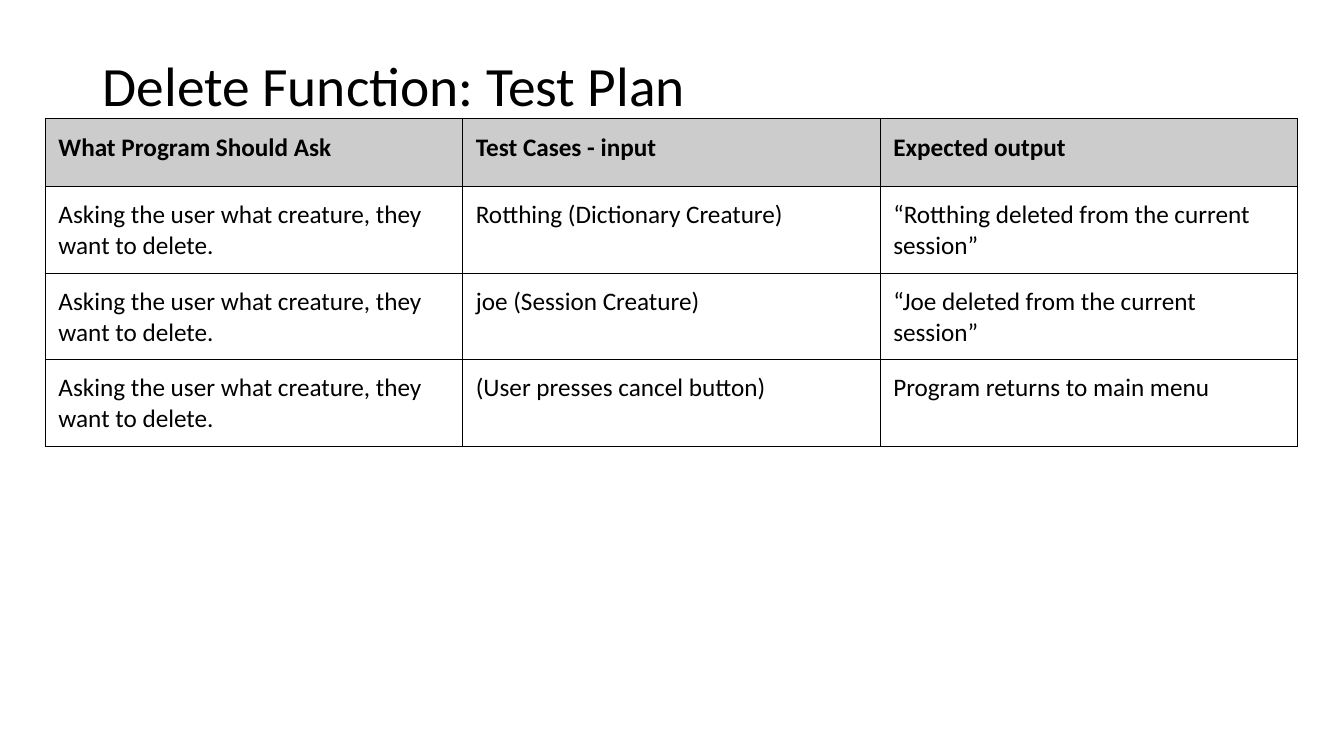
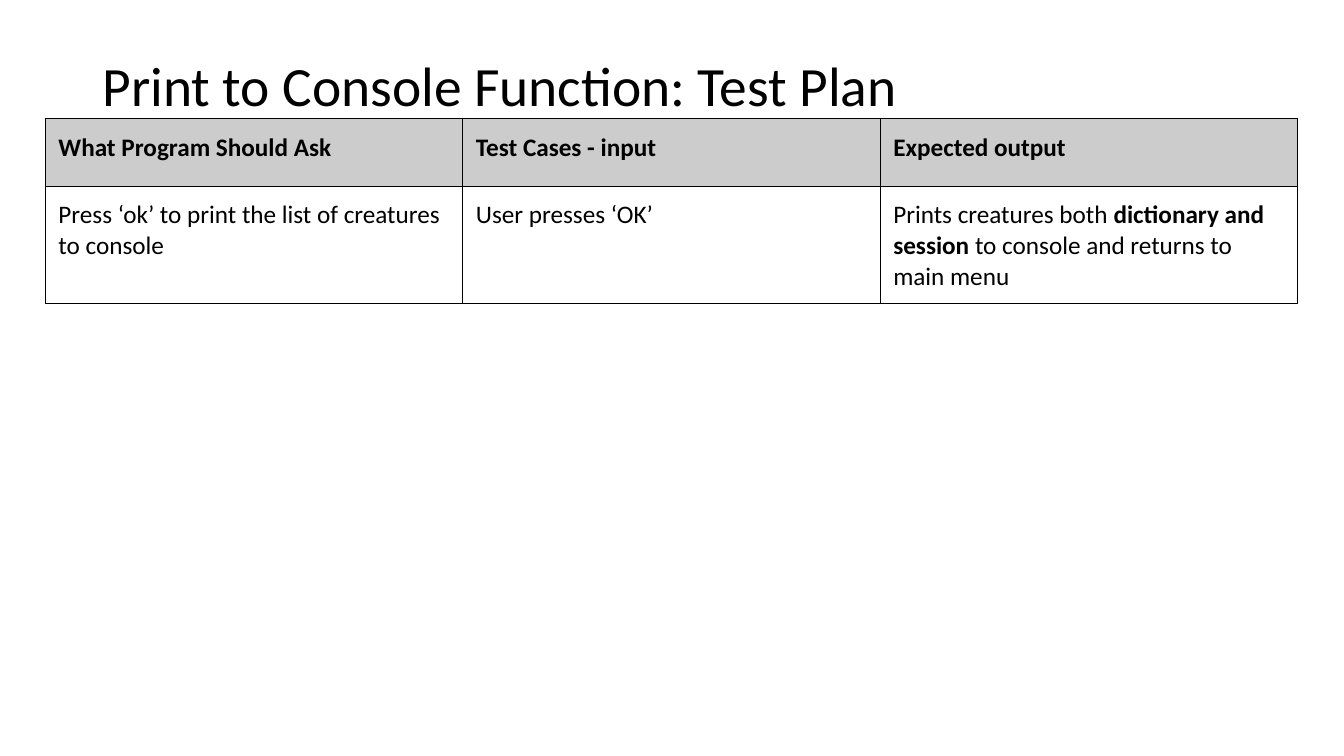
"""Build the test plan slides for the Delete and Print to Console functions."""
from lxml.etree import SubElement
from pptx import Presentation
from pptx.dml.color import RGBColor
from pptx.enum.text import MSO_ANCHOR
from pptx.oxml.ns import qn
from pptx.util import Inches, Pt

BLACK = RGBColor(0x00, 0x00, 0x00)
HEADER_GREY = RGBColor(0xCC, 0xCC, 0xCC)
FONT = "Calibri"
HEADINGS = ["What Program Should Ask", "Test Cases - input", "Expected output"]
DELETE_PROMPT = "Asking the user what creature, they want to delete."


class TestPlanDeck:
    """Hold the deck style and the current slide."""

    def __init__(self):
        self.deck = Presentation()
        self.deck.slide_width = Inches(13.33)
        self.deck.slide_height = Inches(7.5)
        self.slide = None

    def new_slide(self):
        """Start a blank slide."""
        self.slide = self.deck.slides.add_slide(self.deck.slide_layouts[6])

    def style(self, paragraph, size, bold=None):
        """Apply the deck font to a paragraph."""
        font = paragraph.font
        font.name, font.size, font.bold = FONT, Pt(size), bold
        font.color.rgb = BLACK

    def title(self, text):
        """Add the slide title."""
        heading = self.slide.shapes.add_textbox(
            Inches(0.92), Inches(0.57), Inches(11.5), Inches(0.62)
        )
        frame = heading.text_frame
        frame.word_wrap = True
        frame.vertical_anchor = MSO_ANCHOR.MIDDLE
        paragraph = frame.paragraphs[0]
        paragraph.text = text
        paragraph.line_spacing = 0.9
        self.style(paragraph, 39.6)

    def borders(self, cell):
        """Draw a thin black line on each side of a cell."""
        properties = cell._tc.get_or_add_tcPr()
        for position, side in enumerate(("lnL", "lnR", "lnT", "lnB")):
            line = SubElement(properties, qn(f"a:{side}"), w=str(Pt(0.75)))
            fill = SubElement(line, qn("a:solidFill"))
            SubElement(fill, qn("a:srgbClr"), val=str(BLACK))
            properties.insert(position, line)

    def cell(self, cell, content, is_header):
        """Fill a cell with a string or with (text, bold) runs."""
        cell.margin_left = cell.margin_right = Inches(0.13)
        cell.margin_top = cell.margin_bottom = Inches(0.13)
        if is_header:
            cell.fill.solid()
            cell.fill.fore_color.rgb = HEADER_GREY
        else:
            cell.fill.background()
        self.borders(cell)
        paragraph = cell.text_frame.paragraphs[0]
        if isinstance(content, str):
            paragraph.text = content
            self.style(paragraph, 18, is_header)
        else:
            self.style(paragraph, 18)
            for text, bold in content:
                run = paragraph.add_run()
                run.text = text
                run.font.bold = bold

    def plan(self, cases):
        """Add the table of test cases below its headings."""
        rows = [HEADINGS, *cases]
        row_height = Inches(0.67)
        table = self.slide.shapes.add_table(
            len(rows), len(HEADINGS), Inches(0.45), Inches(1.18),
            Inches(12.42), row_height * len(rows),
        ).table
        table.first_row = table.horz_banding = False
        for row_index, row in enumerate(rows):
            for column_index, content in enumerate(row):
                self.cell(table.cell(row_index, column_index), content, row_index == 0)


PLANS = {
    "Delete Function: Test Plan": [
        [DELETE_PROMPT, "Rotthing (Dictionary Creature)",
         "“Rotthing deleted from the current session”"],
        [DELETE_PROMPT, "joe (Session Creature)",
         "“Joe deleted from the current session”"],
        [DELETE_PROMPT, "(User presses cancel button)",
         "Program returns to main menu"],
    ],
    "Print to Console Function: Test Plan": [
        ["Press ‘ok’ to print the list of creatures to console",
         "User presses ‘OK’",
         [("Prints creatures both ", False),
          ("dictionary and session ", True),
          ("to console and returns to main menu", False)]],
    ],
}


def main():
    """Build and save the deck."""
    builder = TestPlanDeck()
    for title, cases in PLANS.items():
        builder.new_slide()
        builder.title(title)
        builder.plan(cases)
    builder.deck.save("out.pptx")


if __name__ == "__main__":
    main()
